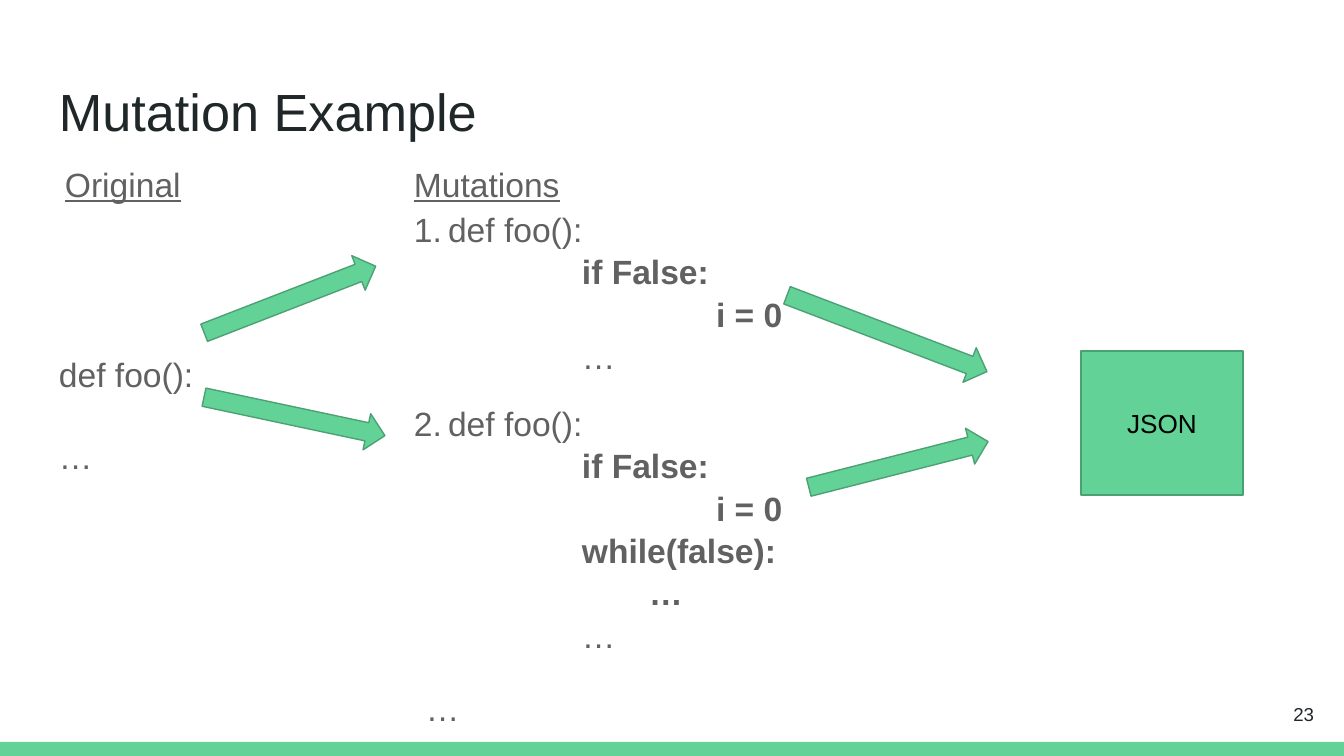
from lxml import etree
from pptx import Presentation
from pptx.dml.color import RGBColor
from pptx.enum.shapes import MSO_SHAPE
from pptx.enum.text import MSO_ANCHOR, PP_ALIGN
from pptx.util import Pt

WIDTH, HEIGHT = 1344, 756
SCALE = 9144000 / WIDTH
GREEN, EDGE, GREY, DARK, BLACK = "63D297", "4BA173", "616161", "202729", "000000"
MARGIN = 13
INDENT = 67  # one indent level
SPACING = 1.05

# Code lines: (text, indent levels, bold)
FIRST_MUTATION = [
    ("def foo():", 0, False),
    ("if False:", 2, True),
    ("i = 0", 4, True),
    ("…", 2, False),
]
SECOND_MUTATION = FIRST_MUTATION[:3] + [
    ("while(false):", 2, True),
    ("…", 3, True),
    ("…", 2, False),
]

# Text, place (left, top, width, height), format
TEXTS = [
    ("Mutation Example", (46, 66, 1253, 85), dict(size=28, color=DARK, spacing=1)),
    ("Original", (52, 149, 211, 67), dict(underline=True)),
    ("Mutations", (401, 149, 211, 67), dict(underline=True)),
    ([("def foo():", 0, False), ("…", 0, False)], (46, 339, 194, 122), dict(gap=21)),
    ("1.", (401, 194, 67, 67), {}),
    (FIRST_MUTATION, (435, 194, 504, 180), {}),
    ("2.", (401, 388, 67, 67), {}),
    (SECOND_MUTATION, (435, 388, 509, 246), {}),
    ("…", (413, 673, 176, 73), {}),
    ("23", (1246, 685, 81, 58), dict(size=10, color=DARK, spacing=1,
                                    align=PP_ALIGN.RIGHT, anchor=MSO_ANCHOR.MIDDLE)),
]

# Arrows: place before turning, angle in degrees
ARROW_HEIGHT = 37
ARROWS = [
    ((198, 281, 184), 338.8),
    ((202, 398, 185), 12),
    ((780, 315, 214), 20.9),
    ((806, 446, 185), 345.7),
]


def px(length):
    return round(length * SCALE)


def rgb(color):
    return RGBColor.from_string(color)


def write(shape, content, size=18, color=GREY, underline=False, spacing=SPACING,
          gap=0, align=PP_ALIGN.LEFT, anchor=MSO_ANCHOR.TOP):
    """Fill a shape with one string or a list of code lines; gap is in points."""
    frame = shape.text_frame
    frame.word_wrap = True
    frame.vertical_anchor = anchor
    frame.margin_left = frame.margin_right = px(MARGIN)
    frame.margin_top = frame.margin_bottom = px(MARGIN)
    lines = [(content, 0, False)] if isinstance(content, str) else content
    for index, (text, level, bold) in enumerate(lines):
        para = frame.add_paragraph() if index else frame.paragraphs[0]
        if level:
            para._p.get_or_add_pPr().set("marL", str(px(level * INDENT)))
        para.alignment = align
        para.line_spacing = spacing
        if index and gap:
            para.space_before = Pt(gap)
        span = para.add_run()
        span.text = text
        font = span.font
        font.name, font.size = "Arial", Pt(size)
        font.bold, font.underline = bold, underline
        font.color.rgb = rgb(color)


def add_text(page, content, place, **look):
    write(page.shapes.add_textbox(*map(px, place)), content, **look)


def add_shape(page, kind, place, edge=EDGE):
    shape = page.shapes.add_shape(kind, *map(px, place))
    shape.shadow.inherit = False
    shape.fill.solid()
    shape.fill.fore_color.rgb = rgb(GREEN)
    if edge:
        shape.line.color.rgb = rgb(edge)
        shape.line.width = Pt(0.75)
    else:
        shape.line.fill.background()
    return shape


def main():
    deck = Presentation()
    deck.slide_width, deck.slide_height = px(WIDTH), px(HEIGHT)
    page = deck.slides.add_slide(deck.slide_layouts[6])

    add_shape(page, MSO_SHAPE.RECTANGLE, (0, 742, WIDTH, 14), edge=None)
    for content, place, look in TEXTS:
        add_text(page, content, place, **look)

    box = add_shape(page, MSO_SHAPE.RECTANGLE, (1081, 351, 162, 144))
    write(box, "JSON", size=14, color=BLACK, spacing=1,
          align=PP_ALIGN.CENTER, anchor=MSO_ANCHOR.MIDDLE)

    for place, angle in ARROWS:
        arrow = add_shape(page, MSO_SHAPE.RIGHT_ARROW, (*place, ARROW_HEIGHT))
        arrow.rotation = angle

    deck.save("out.pptx")


if __name__ == "__main__":
    main()
